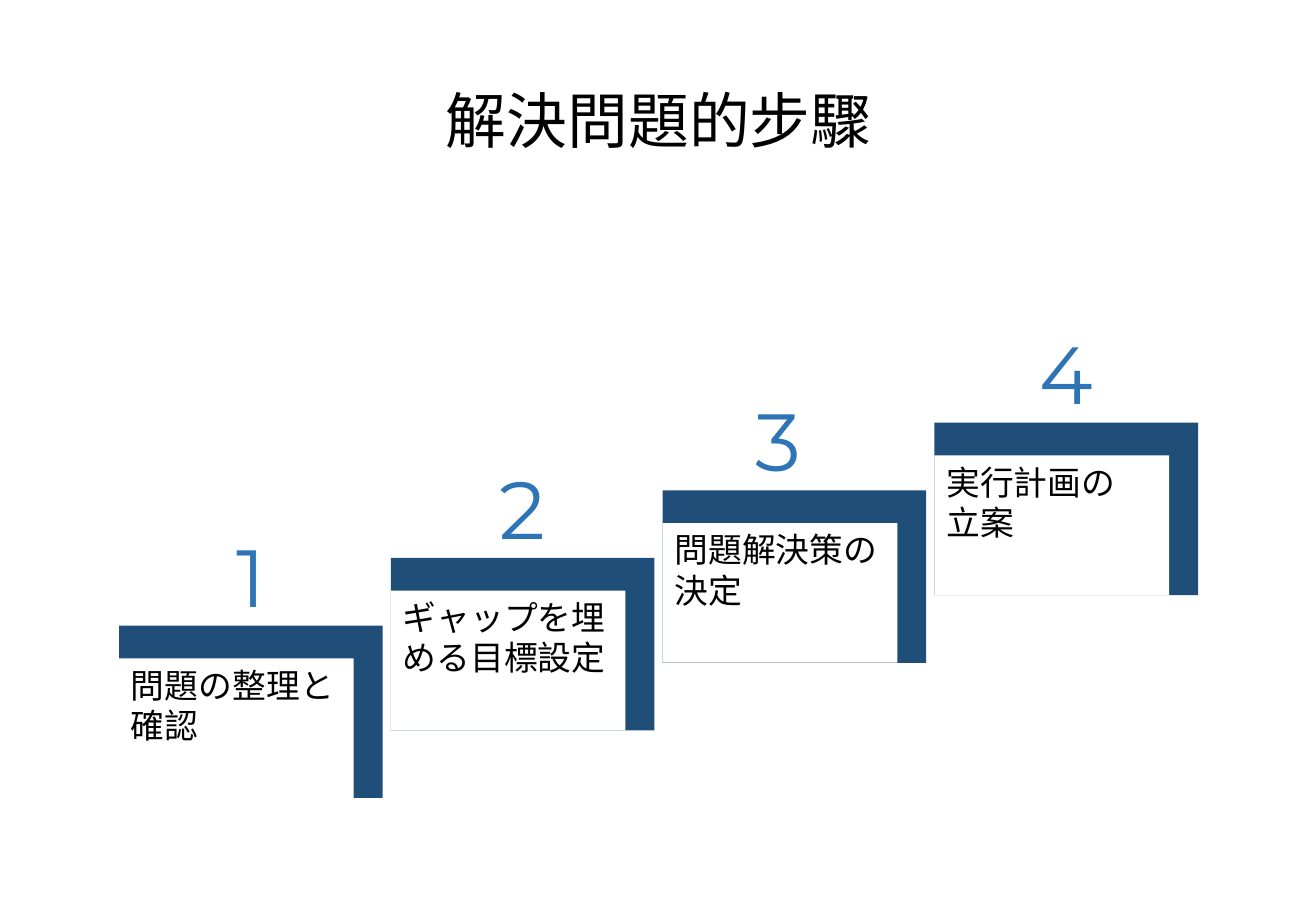
from dataclasses import dataclass

from pptx import Presentation
from pptx import util as u
from pptx.dml.color import RGBColor
from pptx.enum import shapes, text

SLIDE_W, SLIDE_H = 10.83, 7.5
COLOURS = {"step": "1F4E79", "paper": "FFFFFF", "number": "2E75B6", "ink": "000000"}
BODY_FONT, NUMBER_FONT = "Calibri", "Montserrat"

TITLE = "解決問題的步驟"
STEPS = [
    ["問題の整理と確認"],
    ["ギャップを埋める目標設定"],
    ["問題解決策の", "決定"],
    ["実行計画の", "立案"],
]
NUMBER_SHIFTS = {3: -0.13}


@dataclass
class Box:
    left: float
    top: float
    width: float
    height: float

    def share(self, x, y, width, height):
        """Return the box at the given shares of this one."""
        return Box(self.left + x * self.width, self.top + y * self.height,
                   width * self.width, height * self.height)

    def emu(self):
        return [u.Inches(v) for v in (self.left, self.top, self.width, self.height)]


def add_rectangle(slide, box, colour):
    rectangle = slide.shapes.add_shape(shapes.MSO_SHAPE.RECTANGLE, *box.emu())
    rectangle.shadow.inherit = False
    rectangle.fill.solid()
    rectangle.fill.fore_color.rgb = RGBColor.from_string(COLOURS[colour])
    rectangle.line.fill.background()


def write(frame, lines, size, font, colour, align, wrap):
    """Fill the frame with one paragraph, broken between the given lines."""
    frame.word_wrap = wrap
    frame.vertical_anchor = text.MSO_ANCHOR.TOP
    frame.auto_size = text.MSO_AUTO_SIZE.SHAPE_TO_FIT_TEXT
    paragraph = frame.paragraphs[0]
    paragraph.alignment = align
    for index, line in enumerate(lines):
        if index:
            paragraph.add_line_break()
        run = paragraph.add_run()
        run.text = line
        run.font.size = u.Pt(size)
        run.font.name = font
        run.font.color.rgb = RGBColor.from_string(COLOURS[colour])


def add_title(slide, box):
    title = slide.shapes.title
    title.left, title.top, title.width, title.height = box.emu()
    write(title.text_frame, [TITLE], 36, BODY_FONT, "ink", text.PP_ALIGN.CENTER, False)


def add_step(slide, box, number, label):
    """Draw a stair edge with its label inside and its number above."""
    inner = box.share(0, 0.19, 0.89, 0.81)
    add_rectangle(slide, box, "step")
    add_rectangle(slide, inner, "paper")

    caption = slide.shapes.add_textbox(*inner.share(0, 0, 1, 0.67).emu())
    write(caption.text_frame, label, 20, BODY_FONT, "ink", text.PP_ALIGN.LEFT, True)

    above = box.share(0.35, -0.61, 0.3, 0.64)
    above.left += NUMBER_SHIFTS.get(number, 0)
    numeral = slide.shapes.add_textbox(*above.emu())
    write(numeral.text_frame, [str(number)], 48, NUMBER_FONT, "number",
          text.PP_ALIGN.CENTER, False)


def add_staircase(slide, box):
    """Lay the steps out from the bottom left to the top right of the box."""
    step_w, step_h = 2.17, 1.42
    across = (box.width - step_w) / (len(STEPS) - 1)
    rise = (box.height - step_h) / (len(STEPS) - 1)
    bottom = box.top + box.height - step_h
    for index, label in enumerate(STEPS):
        step = Box(box.left + index * across, bottom - index * rise, step_w, step_h)
        add_step(slide, step, index + 1, label)


def main():
    deck = Presentation()
    deck.slide_width, deck.slide_height = u.Inches(SLIDE_W), u.Inches(SLIDE_H)
    slide = deck.slides.add_slide(deck.slide_layouts.get_by_name("Title Only"))
    add_staircase(slide, Box(0.98, 3.48, 8.88, 3.09))
    add_title(slide, Box(3.55, 0.63, 3.74, 0.71))
    deck.save("out.pptx")


if __name__ == "__main__":
    main()
